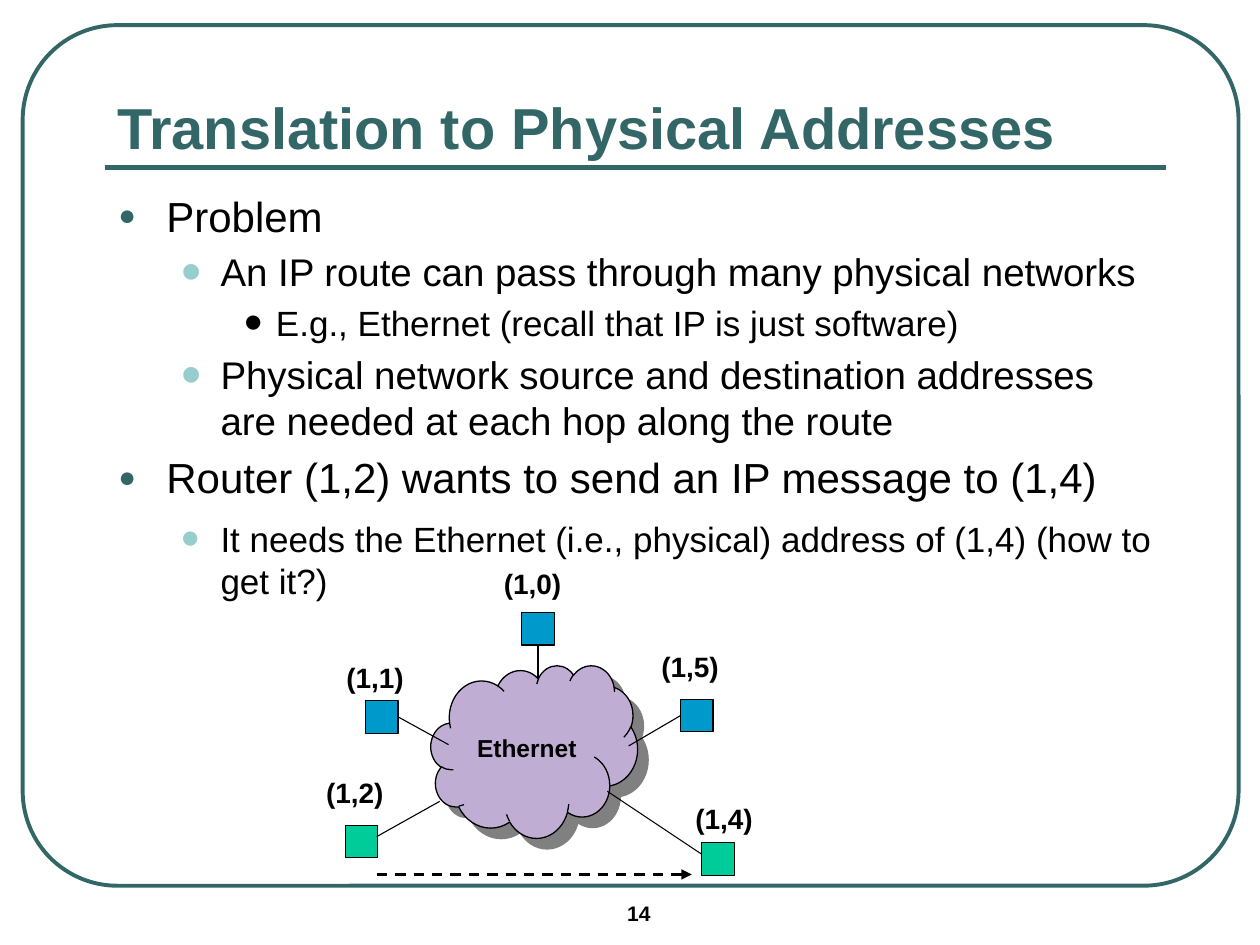
from dataclasses import dataclass
from typing import Any, Optional

from lxml.etree import SubElement
from pptx import Presentation
from pptx.dml.color import RGBColor
from pptx.enum.dml import MSO_LINE_DASH_STYLE as Dash
from pptx.enum.shapes import MSO_CONNECTOR as Connector, MSO_SHAPE as Preset
from pptx.enum.text import MSO_ANCHOR as Anchor, MSO_AUTO_SIZE as AutoSize, PP_ALIGN as Align
from pptx.oxml.ns import qn
from pptx.util import Inches, Pt


@dataclass(frozen=True)
class Theme:
    font: str = "Arial"
    ink: str = "000000"
    accent: str = "336666"
    soft: str = "97CDCC"
    router: str = "0099CC"
    endpoint: str = "00CC99"
    cloud: str = "BFADD3"
    shadow: str = "808080"
    title_size: int = 33
    cloud_size: int = 14
    label_size: int = 16
    number_size: int = 12
    hairline: float = 0.63


THEME = Theme()


@dataclass(frozen=True)
class Level:
    margin: float
    hanging: float
    bullet: str
    colour: str
    percent: int


@dataclass(frozen=True)
class Item:
    text: str
    level: int
    size: int
    after: float = 0


@dataclass(frozen=True)
class Node:
    label: str
    left: float
    top: float
    colour: str
    label_at: tuple[float, float]
    link_from: tuple[float, float]
    link_to: tuple[float, float]
    side: Optional[int] = None


SPACING = 0.2
NODE_SIZE = 0.26

LEVELS = [
    Level(0.38, 0.38, "●", THEME.accent, 70),
    Level(0.81, 0.31, "•", THEME.soft, 150),
    Level(1.25, 0.25, "•", THEME.ink, 150),
]

ITEMS = [
    Item("Problem", 0, 24),
    Item("An IP route can pass through many physical networks", 1, 22),
    Item("E.g., Ethernet (recall that IP is just software)", 2, 20),
    Item("Physical network source and destination addresses are needed at each hop along the route", 1, 22),
    Item("Router (1,2) wants to send an IP message to (1,4)", 0, 24, SPACING),
    Item("It needs the Ethernet (i.e., physical) address of (1,4) (how to get it?)", 1, 20, SPACING),
]

NODES = [
    Node("(1,0)", 4.14, 4.86, THEME.router, (3.9, 4.45), (4.27, 5.12), (4.27, 5.38), 2),
    Node("(1,1)", 2.9, 5.56, THEME.router, (2.65, 5.19), (3.16, 5.69), (3.56, 5.91), 3),
    Node("(1,5)", 5.4, 5.55, THEME.router, (5.15, 5.11), (5.4, 5.68), (4.99, 5.92), 1),
    Node("(1,2)", 2.74, 6.55, THEME.endpoint, (2.49, 6.11), (2.99, 6.64), (3.49, 6.36)),
    Node("(1,4)", 5.57, 6.69, THEME.endpoint, (5.42, 6.31), (5.57, 6.78), (4.82, 6.28)),
]


def apply(target: Any, values: dict[str, Any]) -> None:
    for name, value in values.items():
        setattr(target, name, value)


def write(para: Any, text: str, size: float, colour: str = THEME.ink, bold: bool = True) -> None:
    span = para.add_run()
    span.text = text
    apply(span.font, {"name": THEME.font, "size": Pt(size), "bold": bold})
    span.font.color.rgb = RGBColor.from_string(colour)


def style_line(line: Any, colour: str, width: float) -> None:
    line.color.rgb = RGBColor.from_string(colour)
    line.width = Pt(width)


def place(box: Any, left: float, top: float, width: float, height: float) -> None:
    apply(box, {"left": Inches(left), "top": Inches(top), "width": Inches(width), "height": Inches(height)})


def add_preset(page: Any, preset: Any, at: tuple[float, float, float, float],
               fill: Optional[str], line: str, width: float) -> Any:
    box = page.shapes.add_shape(preset, *map(Inches, at))
    box.shadow.inherit = False
    if fill:
        box.fill.solid()
        box.fill.fore_color.rgb = RGBColor.from_string(fill)
    else:
        box.fill.background()
    style_line(box.line, line, width)
    return box


def add_line(page: Any, start: tuple[float, float], end: tuple[float, float],
             colour: str = THEME.ink, width: float = THEME.hairline) -> Any:
    line = page.shapes.add_connector(Connector.STRAIGHT, *map(Inches, start + end))
    style_line(line.line, colour, width)
    SubElement(line._element.spPr, qn("a:effectLst"))
    return line


def add_label(page: Any, text: str, at: tuple[float, float, float, float], size: float) -> None:
    box = page.shapes.add_textbox(*map(Inches, at))
    apply(box.text_frame, {"word_wrap": True, "auto_size": AutoSize.SHAPE_TO_FIT_TEXT})
    write(box.text_frame.paragraphs[0], text, size)


def add_item(para: Any, item: Item) -> None:
    level = LEVELS[item.level]
    apply(para, {"level": item.level, "alignment": Align.LEFT,
                 "space_before": Pt(SPACING * item.size), "space_after": Pt(item.after * item.size)})
    props = para._p.get_or_add_pPr()
    props.set("marL", str(Inches(level.margin)))
    props.set("indent", str(-Inches(level.hanging)))
    SubElement(SubElement(props, qn("a:buClr")), qn("a:srgbClr"), val=level.colour)
    SubElement(props, qn("a:buSzPct"), val=str(level.percent * 1000))
    SubElement(props, qn("a:buFont"), typeface=THEME.font)
    SubElement(props, qn("a:buChar"), char=level.bullet)
    write(para, item.text, item.size, bold=False)


def add_cloud(page: Any) -> None:
    cloud = add_preset(page, Preset.CLOUD, (3.42, 5.28, 1.64, 1.37), THEME.cloud, THEME.ink, 0.75)
    effects = cloud._element.spPr.find(qn("a:effectLst"))
    shadow = SubElement(effects, qn("a:outerShdw"), dist=str(Pt(8.5)), dir=str(45 * 60000),
                        algn="ctr", rotWithShape="0")
    SubElement(shadow, qn("a:srgbClr"), val=THEME.shadow)
    cloud.text_frame.vertical_anchor = Anchor.MIDDLE
    para = cloud.text_frame.paragraphs[0]
    para.alignment = Align.CENTER
    write(para, "Ethernet", THEME.cloud_size)


def add_node(page: Any, node: Node) -> None:
    box = add_preset(page, Preset.RECTANGLE, (node.left, node.top, NODE_SIZE, NODE_SIZE),
                     node.colour, THEME.ink, THEME.hairline)
    link = add_line(page, node.link_from, node.link_to)
    if node.side is not None:
        link.begin_connect(box, node.side)
    add_label(page, node.label, (*node.label_at, 0.75, 0.37), THEME.label_size)


def main() -> None:
    deck = Presentation()
    apply(deck, {"slide_width": Inches(10), "slide_height": Inches(7.5)})
    page = deck.slides.add_slide(deck.slide_layouts[1])

    frame = add_preset(page, Preset.ROUNDED_RECTANGLE, (0.18, 0.2, 9.65, 6.83), None, THEME.accent, 2.25)
    frame.adjustments[0] = 0.11
    add_line(page, (0.83, 1.33), (9.25, 1.33), THEME.accent, 3)

    title, body = page.placeholders
    place(title, 0.83, 0.58, 8.42, 0.75)
    apply(title.text_frame, {"vertical_anchor": Anchor.BOTTOM, "auto_size": AutoSize.NONE})
    heading = title.text_frame.paragraphs[0]
    heading.alignment = Align.LEFT
    write(heading, "Translation to Physical Addresses", THEME.title_size, THEME.accent)

    place(body, 0.84, 1.46, 8.42, 4.83)
    body.text_frame.auto_size = AutoSize.NONE
    for index, item in enumerate(ITEMS):
        add_item(body.text_frame.add_paragraph() if index else body.text_frame.paragraphs[0], item)

    add_label(page, "14", (4.88, 7.1, 1.17, 0.33), THEME.number_size)
    add_cloud(page)
    for node in NODES:
        add_node(page, node)

    message = add_line(page, (2.99, 6.94), (5.49, 6.94), width=1.5)
    message.line.dash_style = Dash.DASH
    SubElement(message.line._get_or_add_ln(), qn("a:tailEnd"), type="triangle")

    deck.save("out.pptx")


if __name__ == "__main__":
    main()
